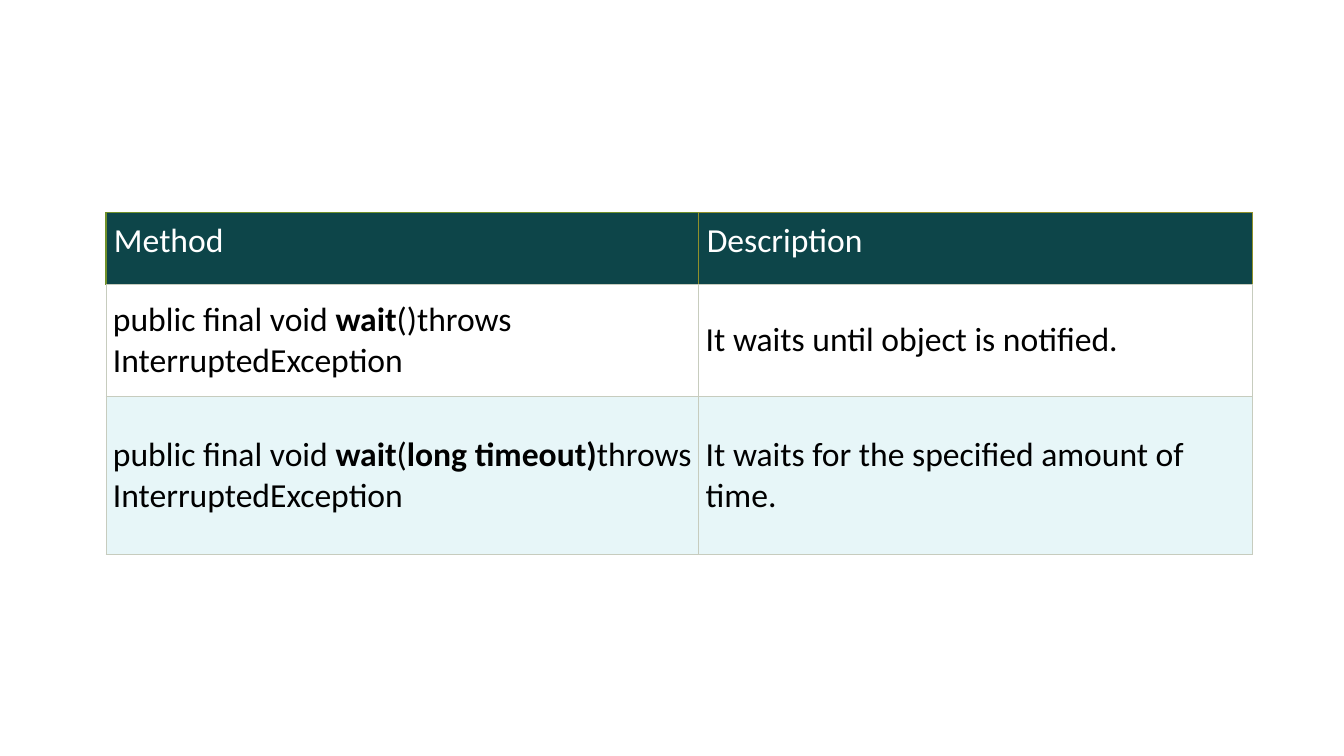
from lxml.etree import SubElement
from pptx import Presentation
from pptx.dml.color import RGBColor
from pptx.enum.text import MSO_ANCHOR
from pptx.oxml.ns import qn
from pptx.util import Inches, Pt

WIDTH, HEIGHT = 13.33, 7.5
GRID_LINE = ("C7CCBE", 0.6)
GREEN_LINE = ("70902A", 1)
OLIVE_LINE = ("90902A", 1)
BODY_BORDERS = dict.fromkeys("LRTB", GRID_LINE)
HEADER_BORDERS = {"L": OLIVE_LINE, "R": OLIVE_LINE, "T": OLIVE_LINE, "B": GRID_LINE}
FIRST_HEADER_BORDERS = {**HEADER_BORDERS, "L": GREEN_LINE, "T": GREEN_LINE}

METHODS = [
    [[("Method", False)], [("Description", False)]],
    [
        [("public final void ", False), ("wait", True),
         ("()throws InterruptedException", False)],
        [("It waits until object is notified.", False)],
    ],
    [
        [("public final void ", False), ("wait", True), ("(", False),
         ("long timeout)", True), ("throws InterruptedException", False)],
        [("It waits for the specified amount of time.", False)],
    ],
]


def color(value):
    return RGBColor.from_string(value)


def across(percent):
    return Inches(WIDTH * percent / 100)


def down(percent):
    return Inches(HEIGHT * percent / 100)


class MethodSlide:
    font = "Calibri"
    size = 24
    row_fills = ["0D4549", "FFFFFF", "E7F6F8"]

    def __init__(self, deck):
        self.page = deck.slides.add_slide(deck.slide_layouts[6])

    def table(self, left, top, columns, rows, content):
        frame = self.page.shapes.add_table(
            len(rows), len(columns), across(left), down(top),
            across(sum(columns)), down(sum(rows)))
        table = frame.table
        for column, width in zip(table.columns, columns):
            column.width = across(width)
        for row, height in zip(table.rows, rows):
            row.height = down(height)
        for row_index, texts in enumerate(content):
            for column_index, spans in enumerate(texts):
                header = row_index == 0
                borders = BODY_BORDERS
                if header:
                    borders = HEADER_BORDERS if column_index else FIRST_HEADER_BORDERS
                cell = table.cell(row_index, column_index)
                self.borders(cell, borders)
                self.cell(cell, spans, header, self.row_fills[row_index])

    def borders(self, cell, borders):
        properties = cell._tc.get_or_add_tcPr()
        for side, (line_color, width) in borders.items():
            line = SubElement(properties, qn(f"a:ln{side}"), w=str(Pt(width)))
            fill = SubElement(line, qn("a:solidFill"))
            SubElement(fill, qn("a:srgbClr"), val=line_color)

    def cell(self, cell, spans, header, fill):
        cell.fill.solid()
        cell.fill.fore_color.rgb = color(fill)
        cell.vertical_anchor = MSO_ANCHOR.TOP if header else MSO_ANCHOR.MIDDLE
        inset = Inches(0.08 if header else 0.07)
        cell.margin_left = cell.margin_right = inset
        cell.margin_top = cell.margin_bottom = inset
        para = cell.text_frame.paragraphs[0]
        for text, bold in spans:
            span = para.add_run()
            span.text = text
            span.font.name = self.font
            span.font.size = Pt(self.size)
            span.font.bold = bold
            span.font.color.rgb = color("FFFFFF" if header else "000000")


def main():
    deck = Presentation()
    deck.slide_width = Inches(WIDTH)
    deck.slide_height = Inches(HEIGHT)
    slide = MethodSlide(deck)
    slide.table(7.88, 28.13, [44.11, 41.19], [9.47, 14.8, 20.93], METHODS)
    deck.save("out.pptx")


if __name__ == "__main__":
    main()
